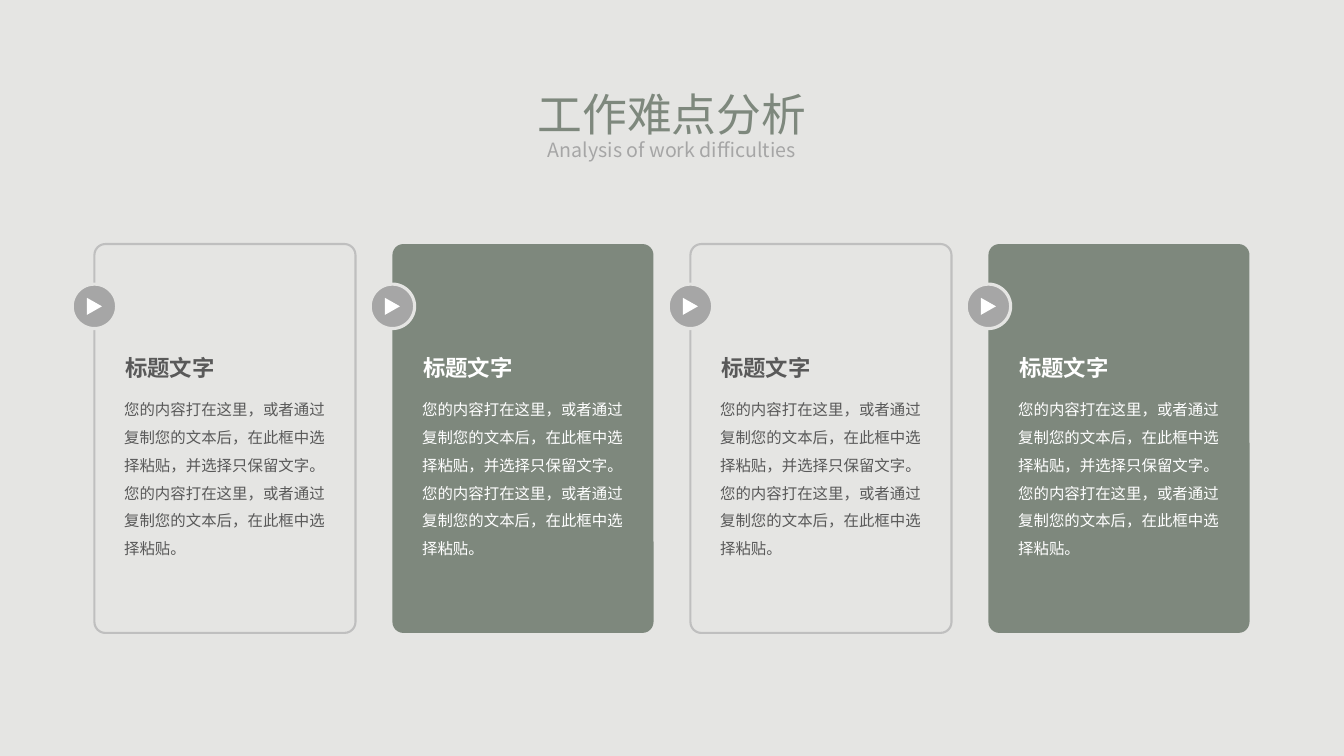
from pptx import Presentation
from pptx.dml.color import RGBColor
from pptx.enum.shapes import MSO_SHAPE
from pptx.enum.text import PP_ALIGN
from pptx.util import Cm, Pt
from lxml.etree import SubElement
from pptx.oxml.ns import qn

FONT = "Noto Sans CJK SC"
PAPER, GREEN, GREY = "E5E5E3", "7E887D", "A6A6A6"
EDGE, DARK, WHITE = "BFBFBF", "595959", "FFFFFF"
WIDTH = 33.87

HEAD = "标题文字"
HALF = "您的内容打在这里，或者通过复制您的文本后，在此框中选择粘贴"
BODY = HALF + "，并选择只保留文字。" + HALF + "。"


def color(value):
    return RGBColor.from_string(value)


def add_shape(slide, kind, box, fill=None, line=None, weight=0):
    shape = slide.shapes.add_shape(kind, *map(Cm, box))
    shape.shadow.inherit = False
    if fill:
        shape.fill.solid()
        shape.fill.fore_color.rgb = color(fill)
    else:
        shape.fill.background()
    if line:
        shape.line.color.rgb = color(line)
        shape.line.width = Pt(weight)
    else:
        shape.line.fill.background()
    return shape


def add_text(slide, box, text, size, ink, lines=1, bold=False,
             align=PP_ALIGN.LEFT, inset=None):
    """Add one paragraph; lines is the spacing in units of 1.2 em."""
    frame = slide.shapes.add_textbox(*map(Cm, box)).text_frame
    frame.word_wrap = True
    if inset is not None:
        frame.margin_left = frame.margin_right = Cm(inset)
        frame.margin_top = frame.margin_bottom = Cm(inset)
    para = frame.paragraphs[0]
    para.text = text
    para.alignment = align
    para.line_spacing = Pt(round(size * 1.2 * lines, 1))
    font = para.runs[0].font
    font.name, font.size, font.bold = FONT, Pt(size), bold
    font.color.rgb = color(ink)
    props = para.runs[0].font._element
    SubElement(props, qn("a:ea")).set("typeface", FONT)


def add_title(slide, left, top, width):
    center = PP_ALIGN.CENTER
    add_text(slide, (left, top + 1.55, width, 0.86),
             "Analysis of work difficulties", 14, GREY, align=center)
    add_text(slide, (left, top, width, 1.75), "工作难点分析", 32, GREEN,
             lines=1.2, align=center)


def add_badge(slide, x, y):
    """Place a round play mark centred on x, y."""
    disc, wide, high = 1.12, 0.43, 0.38
    add_shape(slide, MSO_SHAPE.OVAL, (x - disc / 2, y - disc / 2, disc, disc),
              GREY, PAPER, 2.25)
    mark = add_shape(slide, MSO_SHAPE.ISOSCELES_TRIANGLE,
                     (x - wide / 2, y - high / 2, wide, high), WHITE)
    mark.rotation = 90


def add_card(slide, left, top, width, height, solid):
    box = (left, top, width, height)
    if solid:
        card = add_shape(slide, MSO_SHAPE.ROUNDED_RECTANGLE, box, GREEN)
    else:
        card = add_shape(slide, MSO_SHAPE.ROUNDED_RECTANGLE, box,
                         line=EDGE, weight=1.5)
    card.adjustments[0] = 0.042
    add_badge(slide, left, top + 1.57)
    ink = WHITE if solid else DARK
    add_text(slide, (left + 0.78, top + 2.77, 2.4, 0.69), HEAD, 16, ink,
             bold=True, inset=0)
    add_text(slide, (left + 0.75, top + 3.71, width - 1.25, 4.24), BODY, 11,
             ink, lines=1.5, inset=0)


def main():
    deck = Presentation()
    deck.slide_width, deck.slide_height = Cm(WIDTH), Cm(19.05)
    slide = deck.slides.add_slide(deck.slide_layouts[6])
    slide.background.fill.solid()
    slide.background.fill.fore_color.rgb = color(PAPER)
    add_title(slide, (WIDTH - 8.05) / 2, 1.8, 8.05)
    for col in range(4):
        add_card(slide, 2.38 + col * 7.51, 6.15, 6.58, 9.8, col % 2 == 1)
    deck.save("out.pptx")


if __name__ == "__main__":
    main()
